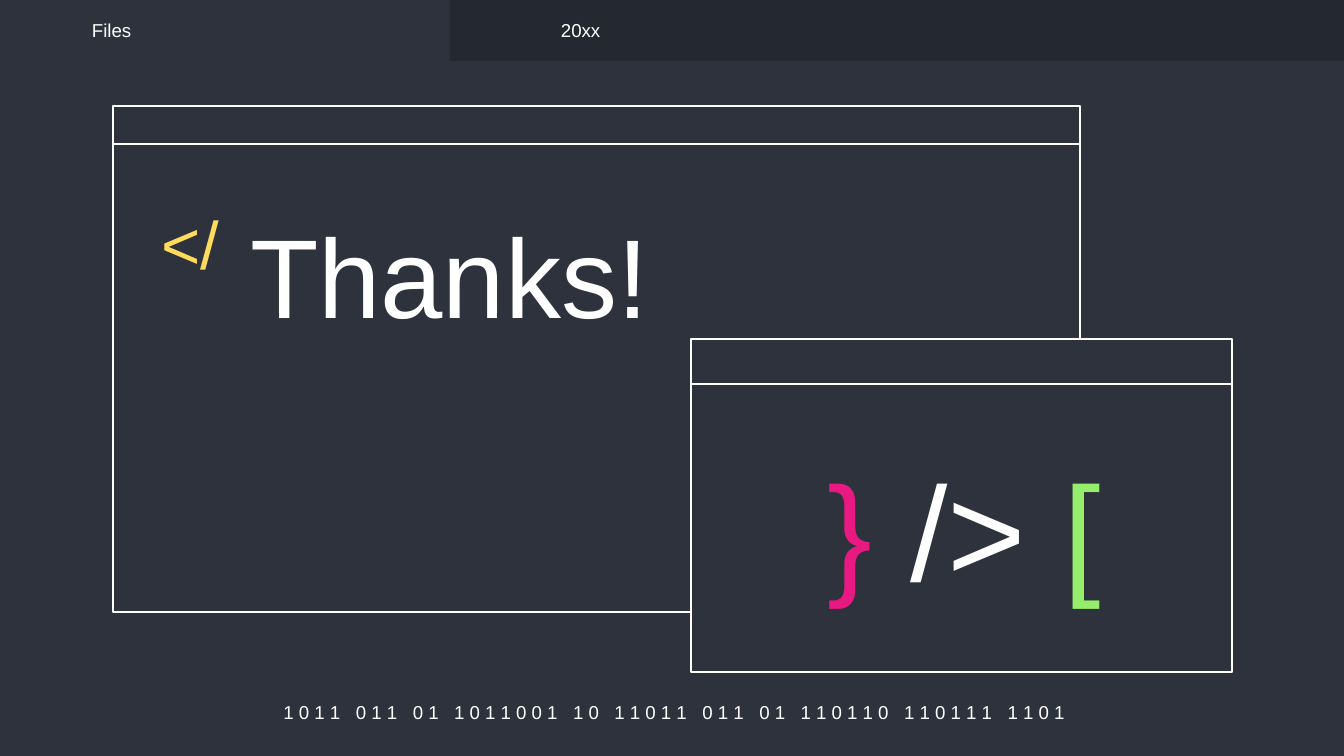
"""Build the closing slide: editor tabs, two outlined windows and a thank-you title."""
from dataclasses import dataclass

from pptx import Presentation
from pptx.dml.color import RGBColor
from pptx.enum import text as t
from pptx.enum.shapes import MSO_SHAPE
from pptx.util import Emu, Pt

SCALE = 914400 / 134.4
SLATE = RGBColor(0x2D, 0x32, 0x3C)
DARK = RGBColor(0x24, 0x28, 0x30)
WHITE = RGBColor(0xFF, 0xFF, 0xFF)
YELLOW = RGBColor(0xFF, 0xDB, 0x5D)
PINK = RGBColor(0xE8, 0x19, 0x81)
GREEN = RGBColor(0x94, 0xEE, 0x6B)
FONT = "Arial"
INSET = 13
BINARY = "1011 011 01 1011001 10 11011 011 01 110110 110111 1101"


@dataclass(frozen=True)
class Box:
    """A rectangle in px."""
    x: int
    y: int
    w: int
    h: int


@dataclass(frozen=True)
class Run:
    """A piece of text in one style, with optional letter spacing in points."""
    words: str
    size: int = 10
    color: RGBColor = WHITE
    gap: float = 0


@dataclass(frozen=True)
class Pane:
    """A window with a title bar above its body."""
    box: Box
    bar: int


@dataclass(frozen=True)
class Tab:
    """An editor tab and the place of its label."""
    box: Box
    fill: RGBColor
    name: str
    label: Box


PANES = [Pane(Box(113, 106, 967, 506), 38), Pane(Box(691, 339, 541, 333), 45)]
TABS = [
    Tab(Box(1, 0, 448, 61), SLATE, "Files", Box(79, 17, 294, 27)),
    Tab(Box(450, 0, 894, 61), DARK, "20xx", Box(548, 17, 294, 27)),
]
SIGNS = [Run("}", 72, PINK), Run(" /> ", 72), Run("[", 72, GREEN)]


def px(n: int) -> Emu:
    """Turn px into EMU."""
    return Emu(round(n * SCALE))


def place(box: Box) -> tuple[Emu, Emu, Emu, Emu]:
    """Give left, top, width and height in EMU."""
    return px(box.x), px(box.y), px(box.w), px(box.h)


def draw_rect(slide, box: Box, fill: RGBColor, edge: bool = False):
    """Draw a filled rectangle, with a thin white edge on request."""
    rect = slide.shapes.add_shape(MSO_SHAPE.RECTANGLE, *place(box))
    rect.shadow.inherit = False
    rect.fill.solid()
    rect.fill.fore_color.rgb = fill
    if edge:
        rect.line.color.rgb = WHITE
        rect.line.width = Pt(0.75)
    else:
        rect.line.fill.background()
    return rect


def draw_pane(slide, pane: Pane):
    """Draw a window and return its body."""
    box = pane.box
    body = Box(box.x, box.y + pane.bar, box.w, box.h - pane.bar)
    shape = draw_rect(slide, body, SLATE, True)
    draw_rect(slide, Box(box.x, box.y, box.w, pane.bar), SLATE, True)
    return shape


def write(shape, runs: list[Run], left: int = INSET, right: int = INSET,
          align=t.PP_ALIGN.LEFT, anchor=t.MSO_ANCHOR.MIDDLE, lead: float = 1.0) -> None:
    """Fill a shape with one paragraph, run by run."""
    frame = shape.text_frame
    frame.word_wrap = True
    frame.auto_size = t.MSO_AUTO_SIZE.NONE
    frame.vertical_anchor = anchor
    frame.margin_left, frame.margin_right = px(left), px(right)
    frame.margin_top = frame.margin_bottom = px(INSET)
    para = frame.paragraphs[0]
    para.alignment = align
    para.line_spacing = lead
    for item in runs:
        run = para.add_run()
        run.text = item.words
        run.font.name = FONT
        run.font.size = Pt(item.size)
        run.font.color.rgb = item.color
        if item.gap:
            run.font._element.set("spc", str(round(item.gap * 100)))


def add_text(slide, box: Box, runs: list[Run], **style) -> None:
    """Add a text box."""
    write(slide.shapes.add_textbox(*place(box)), runs, **style)


def code_runs() -> list[Run]:
    """Space the digits evenly, with a wider gap between groups."""
    runs = []
    for group in BINARY.split():
        if runs:
            runs.append(Run(" ", gap=5.56))
        runs.append(Run(" ".join(group)))
    return runs


def main() -> None:
    """Build and save the slide."""
    deck = Presentation()
    deck.slide_width, deck.slide_height = px(1344), px(756)
    slide = deck.slides.add_slide(deck.slide_layouts[5])
    slide.background.fill.solid()
    slide.background.fill.fore_color.rgb = SLATE

    back, front = PANES
    draw_pane(slide, back)
    add_text(slide, Box(51, 699, 1246, 27), code_runs(), align=t.PP_ALIGN.CENTER)
    for tab in TABS:
        draw_rect(slide, tab.box, tab.fill)
        add_text(slide, tab.label, [Run(tab.name)])

    title = slide.shapes.title
    title.left, title.top, title.width, title.height = place(Box(250, 180, 484, 147))
    write(title, [Run("Thanks!", 60)], 0, 0, anchor=t.MSO_ANCHOR.TOP, lead=1.1)
    title.element.getparent().append(title.element)
    add_text(slide, Box(148, 203, 103, 89), [Run("</", 36, YELLOW)], lead=0.9)
    write(draw_pane(slide, front), SIGNS, left=137)

    deck.save("out.pptx")


if __name__ == "__main__":
    main()
